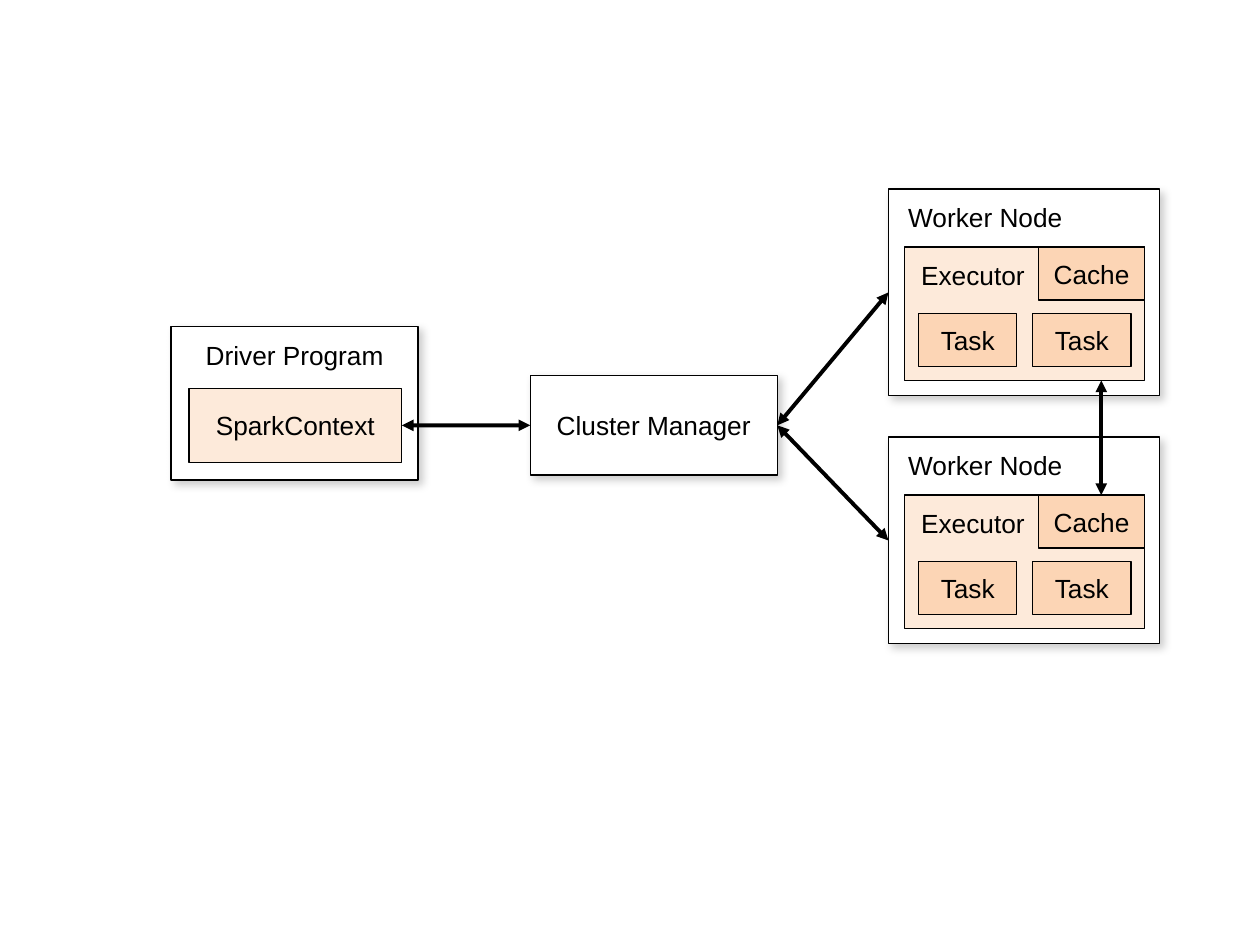
from dataclasses import dataclass

import pptx
import pptx.dml.color
import pptx.enum.shapes
import pptx.enum.text
import pptx.oxml
import pptx.oxml.ns
import pptx.shapes.autoshape
import pptx.shapes.connector
import pptx.slide
import pptx.util
from pptx.util import Cm

BLACK, WHITE, PEACH, ORANGE = "000000", "FFFFFF", "FDEADA", "FCD5B5"
TOP, LEFT, BOTTOM, RIGHT = range(4)
WORKER_LEFT, WORKER_TOP, WORKER_PITCH = 17.91, 3.81, 5.0
EXECUTOR_LEFT, EXECUTOR_TOP, EXECUTOR_HEIGHT = 0.33, 1.17, 2.69
TASK_PITCH = 2.3
CACHE_LINK_X = 22.2


@dataclass
class Box:
    text: str
    left: float
    top: float
    width: float
    height: float
    fill: str
    shadow: bool = False
    heading: bool = False
    centered: bool = True
    inset: float = 0.25


def color(value: str) -> pptx.dml.color.RGBColor:
    return pptx.dml.color.RGBColor.from_string(value)


def add_shadow(shape: pptx.shapes.autoshape.Shape) -> None:
    effects = shape._element.spPr.find(pptx.oxml.ns.qn("a:effectLst"))
    effects.append(pptx.oxml.parse_xml(
        f'<a:outerShdw {pptx.oxml.ns.nsdecls("a")} blurRad="63500" dist="38100" '
        f'dir="2700000" algn="tl" rotWithShape="0"><a:srgbClr val="{BLACK}">'
        '<a:alpha val="20000"/></a:srgbClr></a:outerShdw>'))


def draw_box(slide: pptx.slide.Slide, box: Box) -> pptx.shapes.autoshape.Shape:
    shape = slide.shapes.add_shape(
        pptx.enum.shapes.MSO_SHAPE.RECTANGLE,
        Cm(box.left), Cm(box.top), Cm(box.width), Cm(box.height))
    shape.shadow.inherit = False
    if box.shadow:
        add_shadow(shape)
    shape.fill.solid()
    shape.fill.fore_color.rgb = color(box.fill)
    shape.line.color.rgb = color(BLACK)
    shape.line.width = pptx.util.Pt(0.75)
    frame = shape.text_frame
    frame.word_wrap = True
    frame.margin_left = Cm(box.inset)
    anchors = pptx.enum.text.MSO_ANCHOR
    frame.vertical_anchor = anchors.TOP if box.heading else anchors.MIDDLE
    if box.heading:
        frame.margin_top = Cm(0.25)
    paragraph = frame.paragraphs[0]
    alignments = pptx.enum.text.PP_ALIGN
    paragraph.alignment = alignments.CENTER if box.centered else alignments.LEFT
    run = paragraph.add_run()
    run.text = box.text
    run.font.name = "Arial"
    run.font.size = pptx.util.Pt(15)
    run.font.color.rgb = color(BLACK)
    return shape


def draw_arrow(slide: pptx.slide.Slide, start: tuple[float, float] = (0, 0),
               end: tuple[float, float] = (0, 0)) -> pptx.shapes.connector.Connector:
    arrow = slide.shapes.add_connector(
        pptx.enum.shapes.MSO_CONNECTOR.STRAIGHT, *map(Cm, start + end))
    arrow.line.color.rgb = color(BLACK)
    arrow.line.width = pptx.util.Pt(2.25)
    namespace = pptx.oxml.ns.nsdecls("a")
    line = arrow.line._get_or_add_ln()
    for tag in ("headEnd", "tailEnd"):
        line.append(pptx.oxml.parse_xml(f'<a:{tag} {namespace} type="triangle"/>'))
    arrow._element.spPr.append(pptx.oxml.parse_xml(f"<a:effectLst {namespace}/>"))
    return arrow


def join(slide: pptx.slide.Slide, source: pptx.shapes.autoshape.Shape,
         target: pptx.shapes.autoshape.Shape) -> None:
    arrow = draw_arrow(slide)
    arrow.begin_connect(source, RIGHT)
    arrow.end_connect(target, LEFT)


def draw_worker(slide: pptx.slide.Slide, top: float) -> pptx.shapes.autoshape.Shape:
    left = WORKER_LEFT
    worker = draw_box(slide, Box("Worker Node", left, top, 5.46, 4.17, WHITE,
                                 shadow=True, heading=True, centered=False, inset=0.4))
    draw_box(slide, Box("Executor", left + EXECUTOR_LEFT, top + EXECUTOR_TOP,
                        4.83, EXECUTOR_HEIGHT, PEACH,
                        heading=True, centered=False, inset=0.33))
    for column in range(2):
        draw_box(slide, Box("Task", left + 0.61 + column * TASK_PITCH, top + 2.51,
                            1.98, 1.07, ORANGE))
    draw_box(slide, Box("Cache", left + 3.03, top + EXECUTOR_TOP, 2.13, 1.07, ORANGE))
    return worker


def main() -> None:
    presentation = pptx.Presentation()
    presentation.slide_width, presentation.slide_height = Cm(25.4), Cm(19.05)
    slide = presentation.slides.add_slide(presentation.slide_layouts[6])

    draw_box(slide, Box("Driver Program", 3.45, 6.58, 4.98, 3.1, WHITE,
                        shadow=True, heading=True))
    manager = draw_box(slide, Box("Cluster Manager", 10.69, 7.57, 4.98, 2.01, WHITE,
                                  shadow=True))
    context = draw_box(slide, Box("SparkContext", 3.81, 7.83, 4.29, 1.49, PEACH))
    join(slide, context, manager)

    worker_tops = [WORKER_TOP + row * WORKER_PITCH for row in range(2)]
    for top in worker_tops:
        join(slide, manager, draw_worker(slide, top))

    upper, lower = (top + EXECUTOR_TOP for top in worker_tops)
    draw_arrow(slide, (CACHE_LINK_X, lower), (CACHE_LINK_X, upper + EXECUTOR_HEIGHT))
    presentation.save("out.pptx")


if __name__ == "__main__":
    main()
